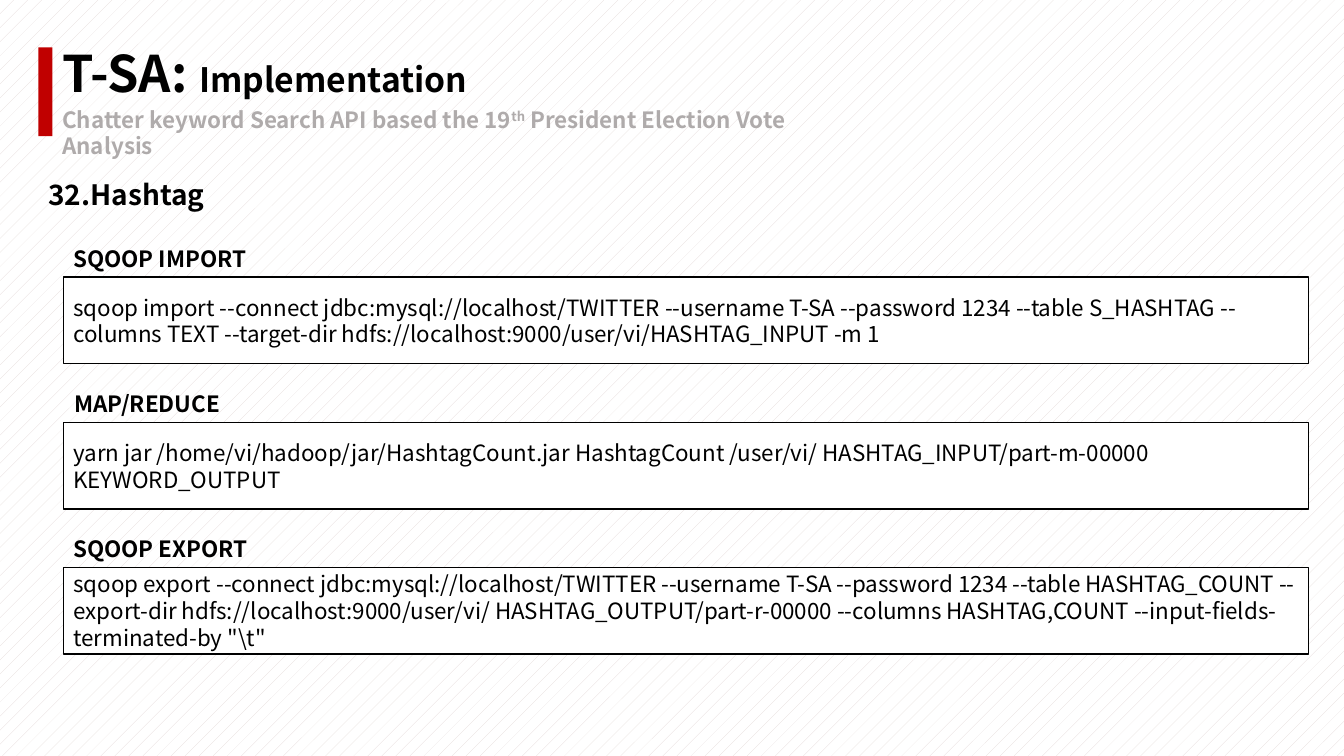
from dataclasses import dataclass

from pptx import Presentation
from pptx.dml.color import RGBColor
from pptx.enum.dml import MSO_PATTERN
from pptx.enum.shapes import MSO_SHAPE
from pptx.enum.text import MSO_ANCHOR, MSO_AUTO_SIZE, PP_ALIGN
from pptx.util import Inches, Pt


@dataclass(frozen=True)
class Theme:
    font: str = "Noto Sans CJK KR"
    ink: str = "000000"
    paper: str = "FFFFFF"
    dots: str = "E3D9D7"
    red: str = "C00000"
    gray: str = "AFABAB"
    huge: int = 36
    large: int = 24
    head: int = 20
    body: int = 16


COLS, ROWS = 160, 90
EDGE, WIDE = 7.56, 148.2
FIRST, PITCH, TALL = 33, 17.28, 10.32
LABEL = 4.44

STEPS = [
    ("SQOOP IMPORT", 7.56, 24.24,
     "sqoop import --connect jdbc:mysql://localhost/TWITTER --username T-SA "
     "--password 1234 --table S_HASHTAG --columns TEXT "
     "--target-dir hdfs://localhost:9000/user/vi/HASHTAG_INPUT -m 1"),
    ("MAP/REDUCE", 7.68, 20.16,
     "yarn jar /home/vi/hadoop/jar/HashtagCount.jar HashtagCount "
     "/user/vi/ HASHTAG_INPUT/part-m-00000 KEYWORD_OUTPUT"),
    ("SQOOP EXPORT", 7.56, 24,
     "sqoop export --connect jdbc:mysql://localhost/TWITTER --username T-SA "
     "--password 1234 --table HASHTAG_COUNT "
     "--export-dir hdfs://localhost:9000/user/vi/ HASHTAG_OUTPUT/part-r-00000 "
     '--columns HASHTAG,COUNT --input-fields-terminated-by "\\t"'),
]


class Deck:
    def __init__(self, theme):
        self.theme = theme
        self.file = Presentation()
        self.file.slide_width = Inches(13.33)
        self.file.slide_height = Inches(7.5)
        self.slide = self.file.slides.add_slide(self.file.slide_layouts[5])

    def place(self, left, top, width, height):
        """Turn columns and rows of the grid into slide lengths."""
        col = self.file.slide_width / COLS
        row = self.file.slide_height / ROWS
        return [int(n) for n in (left * col, top * row, width * col, height * row)]

    def ground(self):
        fill = self.slide.background.fill
        fill.patterned()
        fill.pattern = MSO_PATTERN.PERCENT_5
        fill.fore_color.rgb = RGBColor.from_string(self.theme.dots)
        fill.back_color.rgb = RGBColor.from_string(self.theme.paper)

    def letter(self, shape, runs, color=None, bold=True, **frame):
        """Fill a shape with runs of (text, size, baseline shift)."""
        form = {"word_wrap": True, "vertical_anchor": MSO_ANCHOR.TOP,
                "margin_left": Inches(0.1), "margin_right": Inches(0.1),
                "margin_top": Inches(0.05), "margin_bottom": Inches(0.05)}
        for key, value in (form | frame).items():
            setattr(shape.text_frame, key, value)
        para = shape.text_frame.paragraphs[0]
        para.alignment = PP_ALIGN.LEFT
        for text, size, shift in runs:
            run = para.add_run()
            run.text = text
            look = {"name": self.theme.font, "size": Pt(size), "bold": bold}
            for key, value in look.items():
                setattr(run.font, key, value)
            run.font.color.rgb = RGBColor.from_string(color or self.theme.ink)
            if shift:
                run._r.get_or_add_rPr().set("baseline", str(shift * 1000))

    def title(self, spot, runs):
        shape = self.slide.shapes.title
        shape.left, shape.top, shape.width, shape.height = self.place(*spot)
        self.letter(shape, runs, auto_size=MSO_AUTO_SIZE.SHAPE_TO_FIT_TEXT)

    def text(self, spot, runs, color=None, wrap=True):
        shape = self.slide.shapes.add_textbox(*self.place(*spot))
        self.letter(shape, runs, color, word_wrap=wrap,
                    auto_size=MSO_AUTO_SIZE.SHAPE_TO_FIT_TEXT)

    def block(self, spot, color, line=None):
        shape = self.slide.shapes.add_shape(MSO_SHAPE.RECTANGLE, *self.place(*spot))
        shape.shadow.inherit = False
        shape.fill.solid()
        shape.fill.fore_color.rgb = RGBColor.from_string(color)
        if line:
            shape.line.color.rgb = RGBColor.from_string(line)
            shape.line.width = Pt(1)
        else:
            shape.line.fill.background()
        return shape

    def code(self, spot, text):
        shape = self.block(spot, self.theme.paper, self.theme.ink)
        self.letter(shape, [(text, self.theme.body, 0)], bold=False,
                    vertical_anchor=MSO_ANCHOR.MIDDLE)


def main():
    theme = Theme()
    deck = Deck(theme)
    deck.ground()
    deck.block((4.56, 5.64, 1.68, 10.56), theme.red)
    deck.title((6.24, 4.44, 92.28, 8.52),
               [("T-SA: ", theme.huge, 0), ("Implementation", theme.large, 0)])
    deck.text((4.56, 20.52, 151.2, 5.28), [("32.Hashtag", theme.head, 0)])
    deck.text((6.24, 12, 88.92, LABEL),
              [("Chatter keyword Search API based the 19", theme.body, 0),
               ("th", theme.body, 30),
               (" President Election Vote Analysis", theme.body, 0)], theme.gray)
    for i, (name, left, width, command) in enumerate(STEPS):
        top = FIRST + i * PITCH
        deck.code((EDGE, top, WIDE, TALL), command)
        deck.text((left, top - LABEL, width, LABEL),
                  [(name, theme.body, 0)], wrap=False)
    deck.file.save("out.pptx")


if __name__ == "__main__":
    main()
